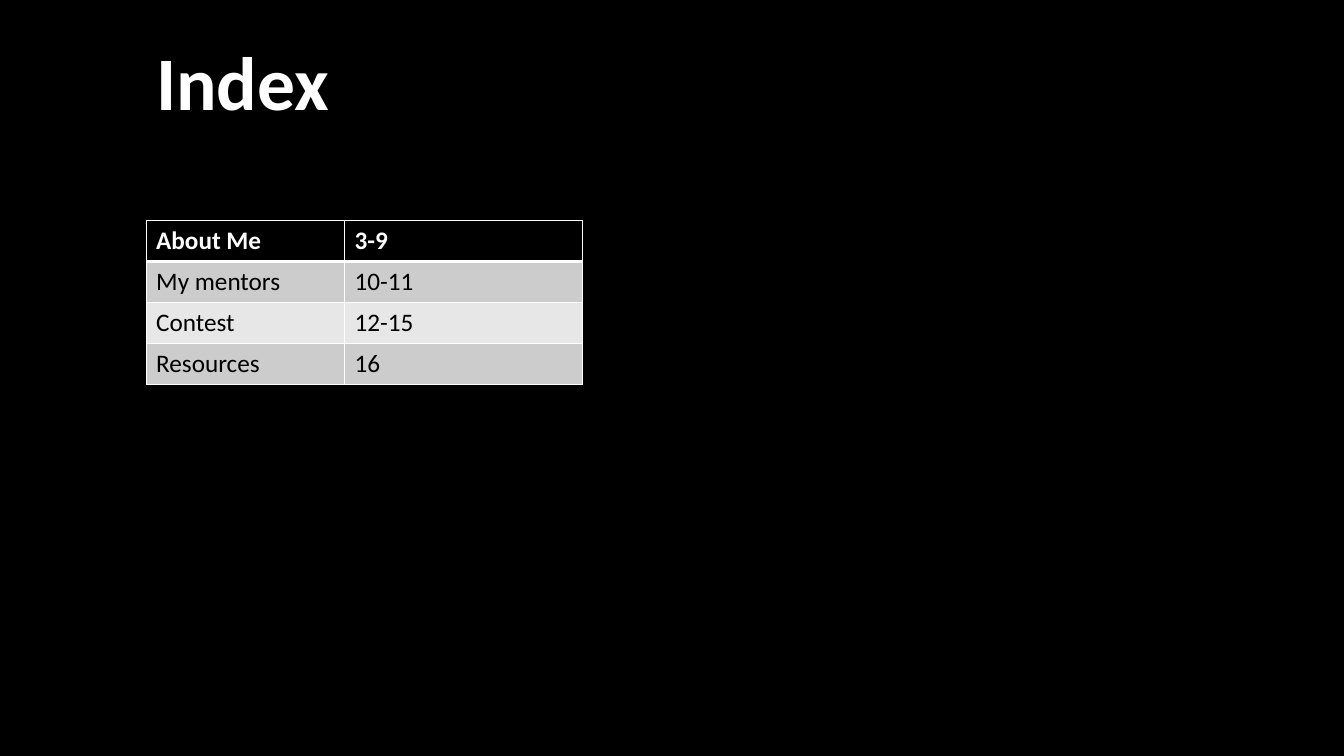
from lxml.etree import SubElement
from pptx import Presentation
from pptx.dml.color import RGBColor
from pptx.enum.text import MSO_ANCHOR, MSO_AUTO_SIZE, PP_ALIGN
from pptx.oxml.ns import qn
from pptx.util import Pt

COLORS = {"black": "000000", "white": "FFFFFF", "dark_band": "CCCCCC", "light_band": "E7E7E7"}
ENTRIES = [("About Me", "3-9"), ("My mentors", "10-11"), ("Contest", "12-15"), ("Resources", "16")]
COLUMN_WIDTHS = [141.8, 170]
ROW_HEIGHT = 29.2
LEFT = 104.4


def write(frame, text, size=18, color="white", bold=False):
    para = frame.paragraphs[0]
    para.alignment = PP_ALIGN.LEFT
    span = para.add_run()
    span.text = text
    span.font.name = "Calibri"
    span.font.size = Pt(size)
    span.font.bold = bold
    span.font.color.rgb = RGBColor.from_string(COLORS[color])


def add_border(cell, side, width):
    """Draw a white line on one side (L, R, T or B) of a cell."""
    line = SubElement(cell._tc.get_or_add_tcPr(), qn(f"a:ln{side}"), w=str(Pt(width)))
    fill = SubElement(line, qn("a:solidFill"))
    SubElement(fill, qn("a:srgbClr"), val=COLORS["white"])


deck = Presentation()
deck.slide_width, deck.slide_height = Pt(960), Pt(540)
page = deck.slides.add_slide(deck.slide_layouts[5])
page.background.fill.solid()
page.background.fill.fore_color.rgb = RGBColor.from_string(COLORS["black"])

title = page.shapes.title
title.left, title.top, title.width, title.height = Pt(LEFT), Pt(21.6), Pt(206), Pt(72.7)
title.text_frame.auto_size = MSO_AUTO_SIZE.NONE
title.text_frame.vertical_anchor = MSO_ANCHOR.TOP
write(title.text_frame, "Index", size=54, bold=True)

index_table = page.shapes.add_table(
    len(ENTRIES), len(COLUMN_WIDTHS), Pt(LEFT), Pt(157.7),
    Pt(sum(COLUMN_WIDTHS)), Pt(ROW_HEIGHT * len(ENTRIES))).table
for column, width in zip(index_table.columns, COLUMN_WIDTHS):
    column.width = Pt(width)

for row, entry in enumerate(ENTRIES):
    index_table.rows[row].height = Pt(ROW_HEIGHT)
    is_header = row == 0
    band = "black" if is_header else "dark_band" if row % 2 else "light_band"
    for column, text in enumerate(entry):
        cell = index_table.cell(row, column)
        write(cell.text_frame, text, color="white" if is_header else "black", bold=is_header)
        for side in "LRTB":
            under_header = (row, side) in [(0, "B"), (1, "T")]
            add_border(cell, side, 3 if under_header else 1)
        cell.fill.solid()
        cell.fill.fore_color.rgb = RGBColor.from_string(COLORS[band])

deck.save("out.pptx")
